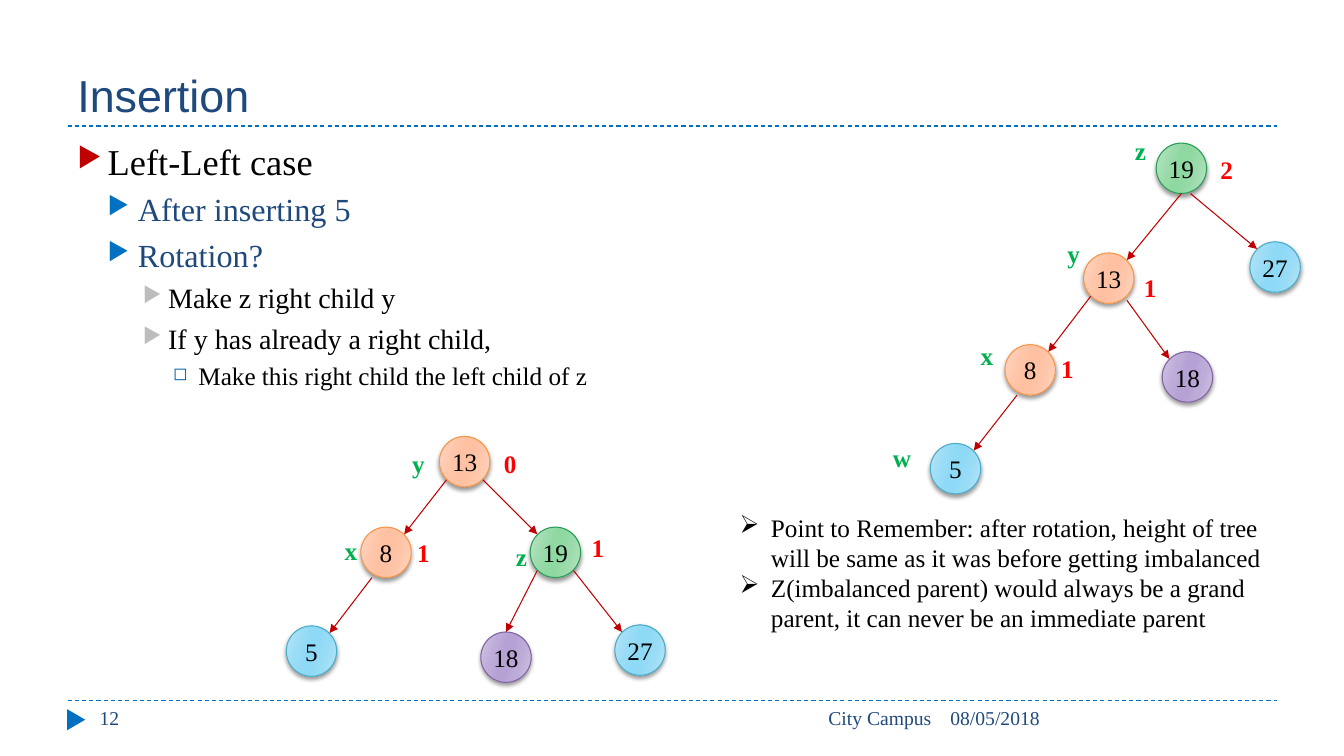
from lxml.etree import SubElement
from pptx import Presentation
from pptx.dml.color import RGBColor
from pptx.enum.dml import MSO_LINE
from pptx.enum.shapes import MSO_CONNECTOR, MSO_SHAPE
from pptx.enum.text import MSO_ANCHOR as Anchor, MSO_AUTO_SIZE as AutoSize, PP_ALIGN as Align
from pptx.oxml.ns import qn
from pptx.util import Emu, Inches, Pt

CELL = Inches(0.1)  # the slide is a grid of 133.3 columns by 75 rows
SERIF = "Times New Roman"
COLOURS = {
    "navy": "1F497D", "blue": "0070C0", "deep blue": "0063A9", "red": "C00000",
    "bright red": "FF0000", "green": "00B050", "grey": "BDBDBD", "black": "000000",
}
# Outline, then gradient from rim to centre
NODE_COLOURS = {
    "orange": ("F79646", "FFD7C5", "FFC6AA", "FFC1A1"),
    "green": ("279D57", "BBE4C5", "9BDBAB", "8FD8A1"),
    "blue": ("4BACC6", "B9E5F7", "99DCF6", "8DD9F6"),
    "purple": ("8064A2", "D1C5E3", "BDABD8", "B6A1D5"),
}


def grid(*cells):
    return [Emu(round(cell * CELL)) for cell in cells]


def write(frame, text, size=18, colour="black", font=SERIF, bold=False, align=Align.LEFT,
          level=0, before=0, indent=None, bullet=None, bullet_colour=None, bullet_size=100):
    """Add a paragraph to the frame, using its first one while that is empty."""
    para = frame.paragraphs[0] if not frame.text else frame.add_paragraph()
    para.alignment, para.level, para.space_before = align, level, Pt(before)
    run = para.add_run()
    run.text = text
    run.font.size, run.font.name, run.font.bold = Pt(size), font, bold
    run.font.color.rgb = RGBColor.from_string(COLOURS[colour])
    if bullet:
        props = para._p.get_or_add_pPr()
        margin, hang = grid(*indent)
        props.set("marL", str(margin))
        props.set("indent", str(-hang))
        if bullet_colour:
            tint = SubElement(props, qn("a:buClr"))
            SubElement(tint, qn("a:srgbClr"), val=COLOURS[bullet_colour])
        SubElement(props, qn("a:buSzPct"), val=str(bullet_size * 1000))
        SubElement(props, qn("a:buChar"), char=bullet)


deck = Presentation()
deck.slide_width, deck.slide_height = grid(133.33, 75)
slide = deck.slides.add_slide(deck.slide_layouts[6])
shapes = slide.shapes

# Title, footer and outline
title = shapes.add_textbox(*grid(6.7, 1.7, 120, 10.8)).text_frame
title.word_wrap, title.vertical_anchor = True, Anchor.BOTTOM
write(title, "Insertion", size=32, colour="navy", font="Arial")

marker = shapes.add_shape(MSO_SHAPE.ISOSCELES_TRIANGLE, *grid(6.5, 70.5, 2.1, 1.8))
marker.rotation = 90
marker.shadow.inherit = False
marker.fill.solid()
marker.fill.fore_color.rgb = RGBColor.from_string(COLOURS["blue"])
marker.line.fill.background()

for text, left, width, align in [
    ("08/05/2018", 93.3, 33.4, Align.LEFT),
    ("City Campus", 42.3, 51.1, Align.RIGHT),
    ("12", 8.9, 28.9, Align.LEFT),
]:
    footer = shapes.add_textbox(*grid(left, 69.5, width, 4)).text_frame
    footer.word_wrap = True
    write(footer, text, size=14, colour="navy", align=align)

# Per level: text size, text colour, space before, hang, bullet, its colour and size
LEVELS = [
    (26, "black", 6, 3, "▶", "red", 76),
    (23, "navy", 5, 3, "▶", "blue", 76),
    (20, "black", 5, 2.5, "▶", "grey", 76),
    (18, "black", 4, 2.5, "◻", "deep blue", 70),
]
outline = shapes.add_textbox(*grid(6.7, 13.3, 120, 54)).text_frame
outline.word_wrap = True
for level, text in [
    (0, "Left-Left case"),
    (1, "After inserting 5"),
    (1, "Rotation?"),
    (2, "Make z right child y"),
    (2, "If y has already a right child,"),
    (3, "Make this right child the left child of z"),
]:
    size, colour, before, hang, bullet, bullet_colour, bullet_size = LEVELS[level]
    write(outline, text, size=size, colour=colour, level=level, before=before,
          indent=(3 * (level + 1), hang), bullet=bullet, bullet_colour=bullet_colour,
          bullet_size=bullet_size)

# Trees: node corners, then arrows with their offsets from the node centres
NODE = 5
TOP, BOTTOM = (0, -2.5), (0, 2.5)
UP_LEFT, UP_RIGHT, DOWN_LEFT, DOWN_RIGHT = (-1.8, -1.8), (1.8, -1.8), (-1.8, 1.8), (1.8, 1.8)
KEY_COLOURS = {5: "blue", 8: "orange", 13: "orange", 18: "purple", 19: "green", 27: "blue"}
before_rotation = (
    {8: (99.7, 34.2), 13: (107.5, 25.1), 19: (114.7, 14.2), 27: (124, 24), 5: (92.3, 44),
     18: (115.3, 34.9)},
    [(19, BOTTOM, 13, UP_RIGHT), (13, DOWN_LEFT, 8, UP_RIGHT), (19, (0.9, 2.5), 27, UP_LEFT),
     (8, (-1.3, 2.5), 5, UP_RIGHT), (13, (1.8, 2.2), 18, UP_LEFT)],
)
after_rotation = (
    {8: (35.8, 52.3), 13: (43.6, 43.3), 19: (52.6, 52.3), 27: (61, 62), 5: (28.4, 62.1),
     18: (47.7, 62.7)},
    [(13, DOWN_RIGHT, 19, UP_LEFT), (13, DOWN_LEFT, 8, UP_RIGHT), (19, DOWN_RIGHT, 27, UP_LEFT),
     (8, (-1.4, 2.5), 5, UP_RIGHT), (19, DOWN_LEFT, 18, TOP)],
)
# Straight lines: start, end, colour, whether it is an arrow
lines = [((6.7, row), (126.7, row), "blue", False) for row in (69.5, 12.5)]

for corners, arrows in (before_rotation, after_rotation):
    for key, corner in corners.items():
        edge, rim, middle, core = NODE_COLOURS[KEY_COLOURS[key]]
        node = shapes.add_shape(MSO_SHAPE.OVAL, *grid(*corner, NODE, NODE))
        node.line.color.rgb = RGBColor.from_string(edge)
        node.line.width = Pt(0.75)
        node.shadow.inherit = False
        props = node._element.spPr
        gradient = SubElement(props, qn("a:gradFill"), rotWithShape="1")
        stops = SubElement(gradient, qn("a:gsLst"))
        for share, tint in zip((0, 30, 45, 55, 73, 100), (rim, middle, core, core, middle, rim)):
            stop = SubElement(stops, qn("a:gs"), pos=str(share * 1000))
            SubElement(stop, qn("a:srgbClr"), val=tint)
        SubElement(gradient, qn("a:lin"), ang=str(16 * 60000), scaled="0")
        props.find(qn("a:ln")).addprevious(gradient)
        shadow = SubElement(props.find(qn("a:effectLst")), qn("a:outerShdw"), blurRad=str(Pt(3)),
                            dist=str(Pt(2)), dir=str(90 * 60000), rotWithShape="0")
        shade = SubElement(shadow, qn("a:srgbClr"), val=COLOURS["black"])
        SubElement(shade, qn("a:alpha"), val="40000")
        frame = node.text_frame
        frame.margin_left = frame.margin_right = 0
        frame.vertical_anchor = Anchor.MIDDLE
        write(frame, str(key), align=Align.CENTER)
    for parent, leave, child, arrive in arrows:
        start, end = ([corner + NODE / 2 + shift for corner, shift in zip(corners[key], offset)]
                      for key, offset in ((parent, leave), (child, arrive)))
        lines.append((start, end, "red", True))

for start, end, colour, is_arrow in lines:
    line = shapes.add_connector(MSO_CONNECTOR.STRAIGHT, *grid(*start, *end))
    line.line.color.rgb = RGBColor.from_string(COLOURS[colour])
    line.line.width = Pt(0.75)
    if is_arrow:
        SubElement(line.line._get_or_add_ln(), qn("a:tailEnd"), type="triangle")
    else:
        line.line.dash_style = MSO_LINE.DASH
    SubElement(line._element.spPr, qn("a:effectLst"))

# Balance factors in red, node names in green
for text, left, top in [
    ("2", 120.1, 14.8), ("1", 112.5, 26.5), ("1", 104.3, 34.6),
    ("0", 49, 44), ("1", 57.7, 52.3), ("1", 40.4, 52.8),
    ("z", 111.6, 12.9), ("y", 104.9, 23.2), ("x", 96.3, 33.3), ("w", 87.6, 43.4),
    ("z", 50.2, 53.2), ("y", 39.9, 44), ("x", 33.2, 52.6),
]:
    width = {"z": 3.1, "w": 3.8}.get(text, 3.3)
    label = shapes.add_textbox(*grid(left, top, width, 4)).text_frame
    label.word_wrap, label.auto_size = False, AutoSize.SHAPE_TO_FIT_TEXT
    write(label, text, colour="bright red" if text.isdigit() else "green", bold=True)

reminder = shapes.add_textbox(*grid(67.4, 50.3, 61.6, 13.1)).text_frame
reminder.word_wrap, reminder.auto_size = True, AutoSize.SHAPE_TO_FIT_TEXT
for text in [
    "Point to Remember: after rotation, height of tree will be same as it was before getting imbalanced",
    "Z(imbalanced parent) would always be a grand parent, it can never be an immediate parent",
]:
    write(reminder, text, level=1, indent=(8.1, 3.1), bullet="➢")

deck.save("out.pptx")
